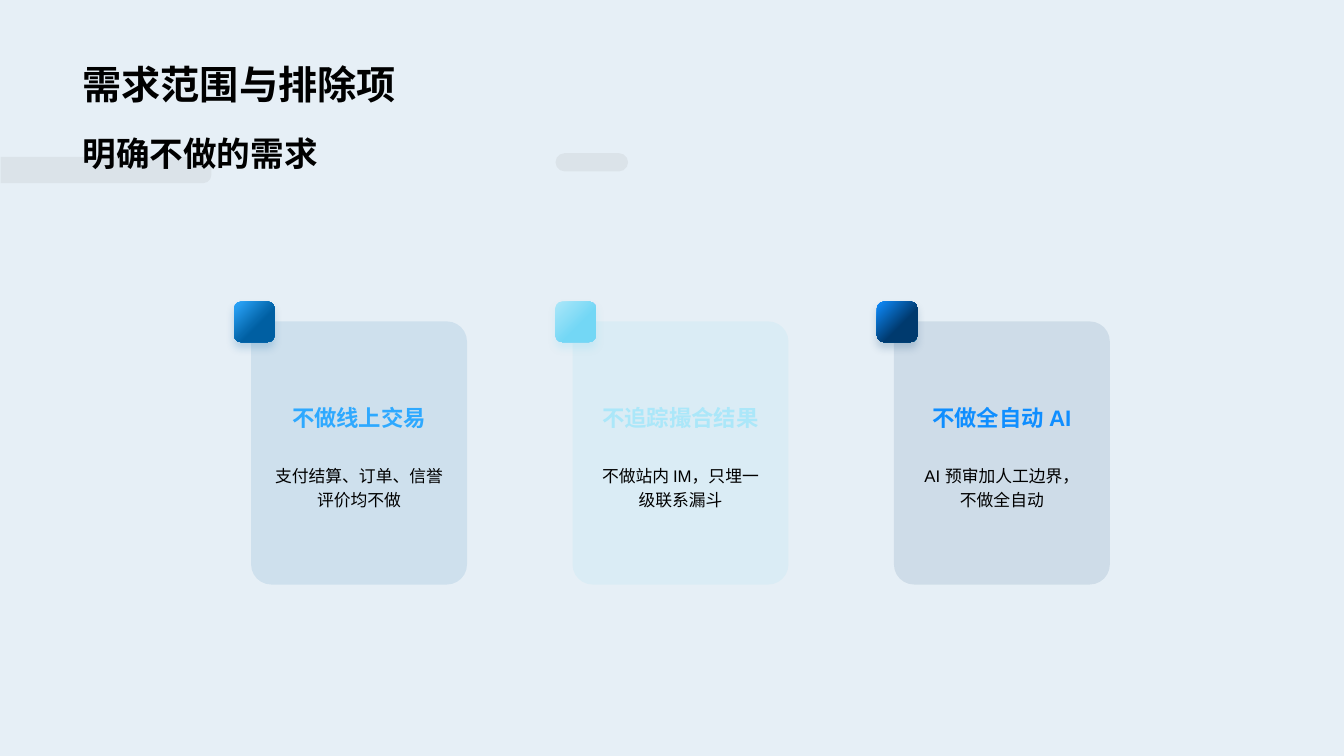
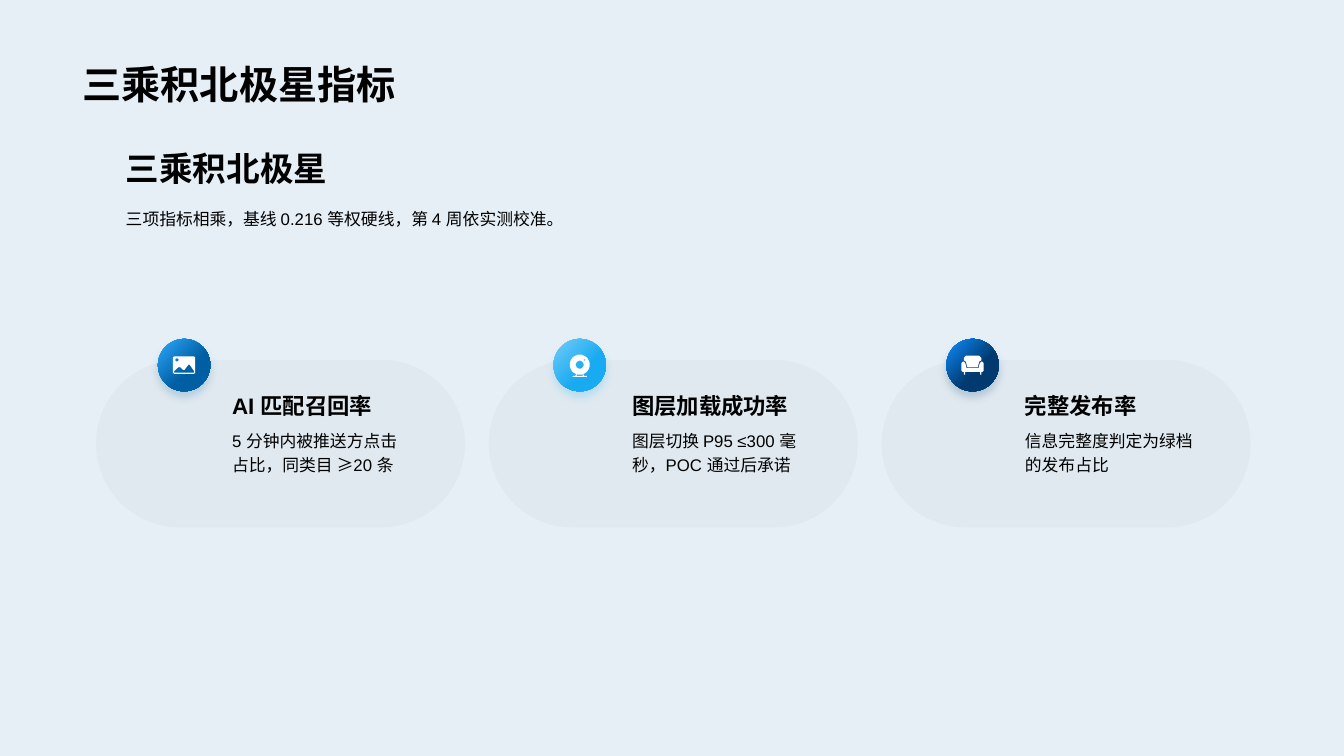
import math
from dataclasses import dataclass

from lxml import etree
from pptx import Presentation
from pptx.dml.color import RGBColor
from pptx.enum.shapes import MSO_SHAPE
from pptx.enum.text import MSO_ANCHOR, PP_ALIGN
from pptx.oxml.ns import qn
from pptx.util import Cm, Pt

ROUNDED = MSO_SHAPE.ROUNDED_RECTANGLE
ROUND_TOP = MSO_SHAPE.ROUND_2_SAME_RECTANGLE
OVAL = MSO_SHAPE.OVAL
TOP, MIDDLE, BOTTOM = MSO_ANCHOR.TOP, MSO_ANCHOR.MIDDLE, MSO_ANCHOR.BOTTOM
LEFT, CENTER = PP_ALIGN.LEFT, PP_ALIGN.CENTER


@dataclass(frozen=True)
class Theme:
    """Colours, gradients and type sizes shared by the slides."""

    font: str = "Arial"
    background: str = "E6EFF6"
    ink: str = "000000"
    grey: str = "808080"
    icon: str = "FFFFFF"
    blue: tuple = ("2EA9FF", "005FA2")
    aqua: tuple = ("ABE7F9", "73D7F5")
    sky: tuple = ("75CDF7", "19ABF2")
    navy: tuple = ("0F8EFF", "003A6E")
    title: int = 28
    subtitle: int = 24
    heading: int = 16
    body: int = 12


THEME = Theme()


def paint(fill, color):
    """Fill with one colour, or with a diagonal gradient for a pair."""
    if isinstance(color, str):
        fill.solid()
        fill.fore_color.rgb = RGBColor.from_string(color)
        return
    fill.gradient()
    fill.gradient_angle = 315
    for stop, position, tone in zip(fill.gradient_stops, (0, 0.6), color):
        stop.position = position
        stop.color.rgb = RGBColor.from_string(tone)


def add_alpha(color_element, percent):
    """Make a colour element partly transparent."""
    etree.SubElement(color_element, qn("a:alpha"), val=str(percent * 1000))


def style(sp, color, alpha=None):
    """Give a shape its fill and remove its outline and shadow."""
    sp.shadow.inherit = False
    paint(sp.fill, color)
    sp.line.fill.background()
    if alpha:
        add_alpha(sp._element.spPr.find(".//" + qn("a:srgbClr")), alpha)


def add_shape(s, kind, box, color, alpha=None, adjustments=(), rotation=0):
    """Add a preset shape with its box in centimetres."""
    sp = s.shapes.add_shape(kind, *map(Cm, box))
    style(sp, color, alpha)
    for i, value in enumerate(adjustments):
        sp.adjustments[i] = value
    sp.rotation = rotation
    return sp


def add_badge(s, kind, x, y, size, gradient):
    """Add a gradient badge with a soft shadow in its dark tone."""
    sp = add_shape(s, kind, (x, y, size, size), gradient)
    shadow = etree.SubElement(
        sp._element.spPr.find(qn("a:effectLst")), qn("a:outerShdw"),
        blurRad=str(Pt(6)), dist=str(Pt(4)), dir="5400000",
        algn="t", rotWithShape="0")
    add_alpha(etree.SubElement(shadow, qn("a:srgbClr"), val=gradient[1]), 20)


def add_text(s, text, box, size=THEME.body, color=THEME.ink, bold=False,
             align=LEFT, anchor=TOP, spacing=1.0, inset_y=0.13):
    """Add a wrapped text box with one formatted paragraph."""
    tf = s.shapes.add_textbox(*map(Cm, box)).text_frame
    tf.word_wrap = True
    tf.vertical_anchor = anchor
    tf.margin_left = tf.margin_right = Cm(0.25)
    tf.margin_top = tf.margin_bottom = Cm(inset_y)
    p = tf.paragraphs[0]
    p.alignment = align
    p.line_spacing = spacing
    r = p.add_run()
    r.text = text
    r.font.name = THEME.font
    r.font.size = Pt(size)
    r.font.bold = bold
    paint(r.font.fill, color)


def circle(x, y, radius, steps=32):
    """Return the points of a circle."""
    angles = (2 * math.pi * i / steps for i in range(steps))
    return [(x + radius * math.cos(a), y + radius * math.sin(a))
            for a in angles]


def mirrored(half):
    """Complete a right-hand outline with its left-hand reflection."""
    return half + [(-x, y) for x, y in reversed(half)]


def picture_icon():
    """Return the outlines of a landscape symbol."""
    frame = mirrored([(25, -22), (28, -19), (28, 19), (25, 22)])
    hills = [(11, -1), (14, -1), (25, 15), (25, 19), (-25, 19), (-25, 15),
             (-14, 5), (-10, 5), (-3, 12), (1, 12)]
    return [frame, hills, circle(-18, -13, 4)]


def webcam_icon():
    """Return the outlines of a webcam symbol."""
    leg = [(7, 23), (9, 23), (11, 27), (8, 27)]
    base = mirrored([(18, 27), (18, 30)])
    return [circle(0, -1, 25), circle(0, -1, 10), circle(12, -13, 2),
            leg, [(-x, y) for x, y in leg], base]


def sofa_icon():
    """Return the outlines of a sofa symbol."""
    seat = mirrored([(15, 8), (18, -4), (22, -9), (26, -8), (28, -4),
                     (28, 14), (25, 17), (22, 17), (22, 24), (19, 24),
                     (19, 17)])
    back = mirrored([(16, -24), (22, -18), (22, -12), (17, -9), (13, 6)])
    return [seat, back]


def add_icon(s, contours, x, y):
    """Draw outlines in hundredths of a centimetre around a centre."""
    (first, *rest), *others = contours
    builder = s.shapes.build_freeform(*first, scale=Cm(0.01))
    builder.add_line_segments(rest)
    for start, *points in others:
        builder.move_to(*start)
        builder.add_line_segments(points)
    style(builder.convert_to_shape(Cm(x), Cm(y)), THEME.icon)


def add_slide(prs, title):
    """Add a blank slide with the shared title."""
    s = prs.slides.add_slide(prs.slide_layouts[6])
    add_text(s, title, (1.83, 0, 30.18, 2.84), size=THEME.title, bold=True,
             anchor=BOTTOM)
    return s


def add_exclusion_card(s, x, gradient, heading, body):
    """Add a tinted card with a corner badge and centred text."""
    y, inset, width = 8.1, 0.33, 4.78
    add_shape(s, ROUNDED, (x, y, 5.44, 6.63), gradient[1], 10, (0.093,))
    add_badge(s, ROUNDED, x - 0.43, y - 0.5, 1.02, gradient)
    add_text(s, heading, (x + inset, y + 1.78, width, 1.12),
             size=THEME.heading, color=gradient, bold=True, align=CENTER,
             anchor=BOTTOM)
    add_text(s, body, (x + inset, y + 3.3, width, 1.68), align=CENTER,
             anchor=MIDDLE, spacing=1.2, inset_y=0.25)


def add_metric_pill(s, x, badge_dx, text_dx, gradient, icon, heading, body):
    """Add a grey pill with an icon badge and left-aligned text."""
    y, badge, width = 9.07, 1.32, 5.05
    add_shape(s, ROUNDED, (x, y, 9.3, 4.22), THEME.grey, 5, (0.5,))
    add_badge(s, OVAL, x + badge_dx, y - 0.53, badge, gradient)
    add_icon(s, icon, x + badge_dx + badge / 2, y - 0.53 + badge / 2)
    add_text(s, heading, (x + text_dx, y + 0.68, width, 0.94),
             size=THEME.heading, bold=True, anchor=BOTTOM)
    add_text(s, body, (x + text_dx, y + 1.55, width, 1.42), spacing=1.2)


def build_exclusions(prs):
    """Build the slide on requirements left out of scope."""
    s = add_slide(prs, "需求范围与排除项")
    cards = [
        (THEME.blue, "不做线上交易", "支付结算、订单、信誉评价均不做"),
        (THEME.aqua, "不追踪撮合结果", "不做站内 IM，只埋一级联系漏斗"),
        (THEME.navy, "不做全自动 AI", "AI 预审加人工边界，不做全自动"),
    ]
    for i, card in enumerate(cards):
        add_exclusion_card(s, 6.33 + 8.1 * i, *card)
    add_shape(s, ROUND_TOP, (2.34, 1.63, 0.66, 5.31), THEME.grey, 10,
              (0.3, 0), rotation=90)
    add_shape(s, ROUNDED, (14, 3.86, 1.83, 0.46), THEME.grey, 10, (0.5,))
    add_text(s, "明确不做的需求", (1.83, 2.44, 14.15, 2.06),
             size=THEME.subtitle, bold=True, anchor=BOTTOM)


def build_metrics(prs):
    """Build the slide on the three multiplied metrics."""
    s = add_slide(prs, "三乘积北极星指标")
    add_text(s, "三乘积北极星", (2.92, 3.61, 14.58, 1.27),
             size=THEME.subtitle, bold=True, anchor=BOTTOM)
    add_text(s, "三项指标相乘，基线 0.216 等权硬线，第 4 周依实测校准。",
             (2.92, 5.03, 14.58, 0.81), spacing=1.2)
    metrics = [
        (1.56, 3.18, THEME.blue, picture_icon(), "AI 匹配召回率",
         "5 分钟内被推送方点击占比，同类目 ≥20 条"),
        (1.63, 3.36, THEME.sky, webcam_icon(), "图层加载成功率",
         "图层切换 P95 ≤300 毫秒，POC 通过后承诺"),
        (1.63, 3.36, THEME.navy, sofa_icon(), "完整发布率",
         "信息完整度判定为绿档的发布占比"),
    ]
    for i, metric in enumerate(metrics):
        add_metric_pill(s, 2.42 + 9.9 * i, *metric)


def main():
    """Build and save the presentation."""
    prs = Presentation()
    prs.slide_width, prs.slide_height = Cm(33.87), Cm(19.05)
    paint(prs.slide_master.background.fill, THEME.background)
    build_exclusions(prs)
    build_metrics(prs)
    prs.save("out.pptx")


if __name__ == "__main__":
    main()
